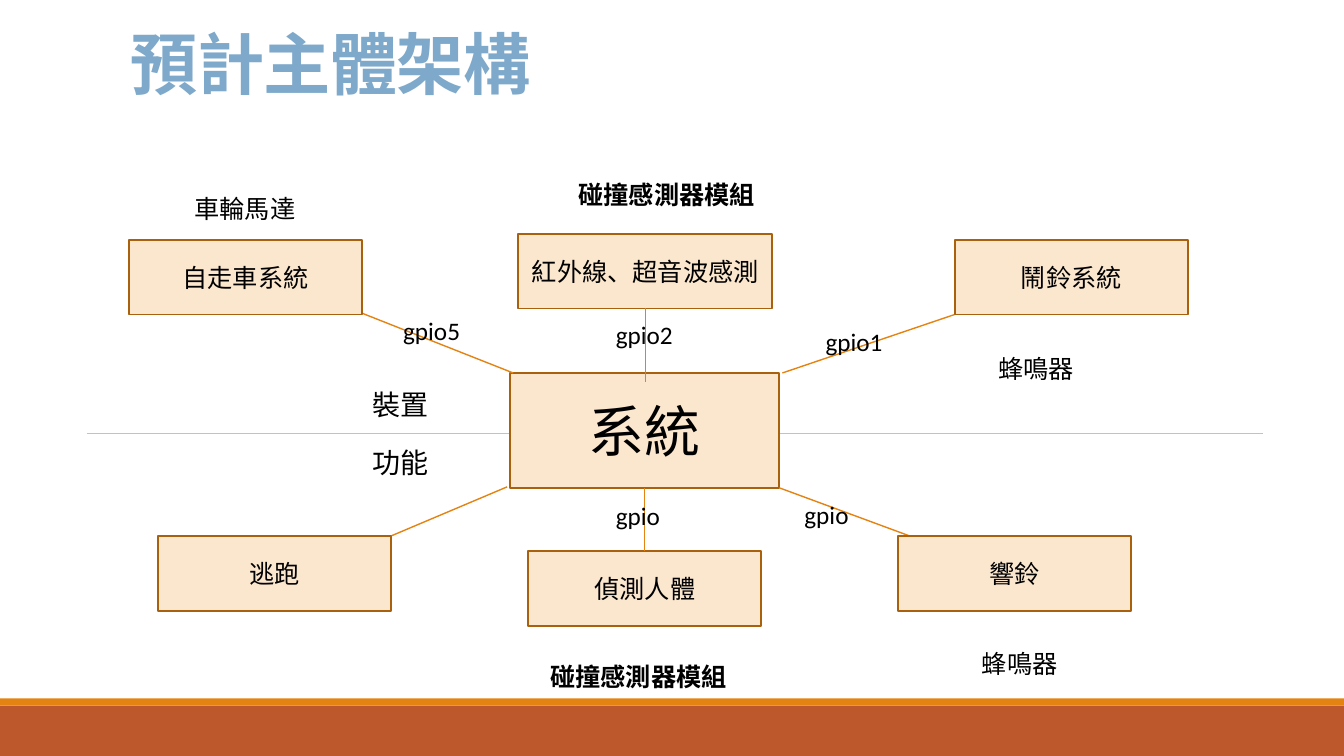
from dataclasses import dataclass

from lxml import etree
from pptx import Presentation
from pptx import util as u
from pptx.dml.color import RGBColor
from pptx.enum import shapes, text
from pptx.oxml import ns

PX = 9144  # EMU per px, 100 px to the inch
FONT = "Calibri"
BLACK = "000000"
ORANGE, RUST = "E48312", "BD582C"
BOX_FILL, BOX_EDGE = "FBE6CE", "A9610D"
DIVIDER, TITLE_BLUE = "ADC8DD", "7EA9CA"
BOX_W, BOX_H = 231, 74
LABEL_H = 40


@dataclass
class Box:
    words: str
    left: int
    top: int
    width: int = BOX_W
    height: int = BOX_H
    size: int = 18


@dataclass
class Label:
    words: str
    left: int
    top: int
    width: int = 121
    height: int = LABEL_H
    size: int = 18
    bold: bool = False
    wrap: bool = True


@dataclass
class Line:
    x1: int
    y1: int
    x2: int
    y2: int
    color: str = ORANGE


def px(n: int) -> int:
    return n * PX


def rgb(color: str) -> RGBColor:
    return RGBColor.from_string(color)


def add_run(paragraph, words: str, size: int, color: str = BLACK, bold: bool = False):
    run = paragraph.add_run()
    run.text = words
    run.font.name = FONT
    run.font.size = u.Pt(size)
    run.font.bold = bold
    run.font.color.rgb = rgb(color)
    return run


def add_rect(slide, left: int, top: int, width: int, height: int, fill: str):
    rect = slide.shapes.add_shape(
        shapes.MSO_SHAPE.RECTANGLE, px(left), px(top), px(width), px(height))
    rect.shadow.inherit = False
    rect.fill.solid()
    rect.fill.fore_color.rgb = rgb(fill)
    rect.line.fill.background()
    return rect


def add_box(slide, box: Box):
    rect = add_rect(slide, box.left, box.top, box.width, box.height, BOX_FILL)
    rect.line.color.rgb = rgb(BOX_EDGE)
    rect.line.width = u.Pt(1.25)
    frame = rect.text_frame
    frame.word_wrap = True
    frame.vertical_anchor = text.MSO_ANCHOR.MIDDLE
    frame.paragraphs[0].alignment = text.PP_ALIGN.CENTER
    add_run(frame.paragraphs[0], box.words, box.size)
    return rect


def add_label(slide, label: Label) -> None:
    frame = slide.shapes.add_textbox(
        px(label.left), px(label.top), px(label.width), px(label.height)).text_frame
    frame.word_wrap = label.wrap
    frame.auto_size = text.MSO_AUTO_SIZE.SHAPE_TO_FIT_TEXT
    add_run(frame.paragraphs[0], label.words, label.size, bold=label.bold)


def add_line(slide, line: Line):
    connector = slide.shapes.add_connector(
        shapes.MSO_CONNECTOR.STRAIGHT,
        px(line.x1), px(line.y1), px(line.x2), px(line.y2))
    connector.line.color.rgb = rgb(line.color)
    connector.line.width = u.Pt(1)
    etree.SubElement(connector._element.spPr, ns.qn("a:effectLst"))
    return connector


def add_title(slide) -> None:
    frame = slide.shapes.add_textbox(px(120), px(29), px(1100), px(159)).text_frame
    frame.word_wrap = True
    frame.paragraphs[0].line_spacing = 0.85
    run = add_run(frame.paragraphs[0], "預計主體架構", 48, TITLE_BLUE, bold=True)
    run.font._element.set("spc", "-50")


SYSTEM = Box("系統", 506, 370, 267, 114, size=40)
SENSING = Box("紅外線、超音波感測", 514, 232, width=252)
DETECTION = Box("偵測人體", 524, 547)
SIDE_BOXES = [
    Box("自走車系統", 128, 238),
    Box("鬧鈴系統", 947, 238),
    Box("逃跑", 157, 532),
    Box("響鈴", 891, 532),
]
SIDE_LINES = [
    Line(503, 483, 373, 538),
    Line(773, 484, 930, 542),
    Line(332, 300, 509, 370),
    Line(776, 370, 947, 312),
]
LABELS = [
    Label("裝置", 360, 379, 103, 35, size=20),
    Label("功能", 360, 437, 103, 35, size=20),
    Label("gpio5", 390, 308),
    Label("gpio1", 809, 319),
    Label("gpio2", 601, 312),
    Label("gpio", 601, 491),
    Label("gpio", 788, 490),
    Label("蜂鳴器", 980, 346, width=192),
    Label("蜂鳴器", 964, 638, width=192),
    Label("碰撞感測器模組", 536, 651, 197, 71, bold=True, wrap=False),
    Label("碰撞感測器模組", 564, 173, 197, 71, bold=True, wrap=False),
    Label("車輪馬達", 183, 187, wrap=False),
]


def main() -> None:
    prs = Presentation()
    prs.slide_width, prs.slide_height = u.Inches(13.33), u.Inches(7.5)
    slide = prs.slides.add_slide(prs.slide_layouts[6])

    # Footer bands
    add_rect(slide, 0, 700, 1333, 50, RUST)
    add_rect(slide, 0, 693, 1333, 7, ORANGE)

    # Divider between devices and functions, behind the central system
    add_line(slide, Line(86, 430, 1253, 430, DIVIDER))
    system = add_box(slide, SYSTEM)

    # Diagonal links run under the side boxes
    for line in SIDE_LINES:
        add_line(slide, line)
    for box in SIDE_BOXES:
        add_box(slide, box)
    sensing = add_box(slide, SENSING)
    detection = add_box(slide, DETECTION)

    # Vertical links joined to the boxes
    sensing_link = add_line(slide, Line(640, 306, 640, 379))
    sensing_link.begin_connect(sensing, 2)
    detection_link = add_line(slide, Line(640, 484, 640, 547))
    detection_link.begin_connect(system, 2)
    detection_link.end_connect(detection, 0)

    # Title and labels
    add_title(slide)
    for label in LABELS:
        add_label(slide, label)

    prs.save("out.pptx")


if __name__ == "__main__":
    main()
